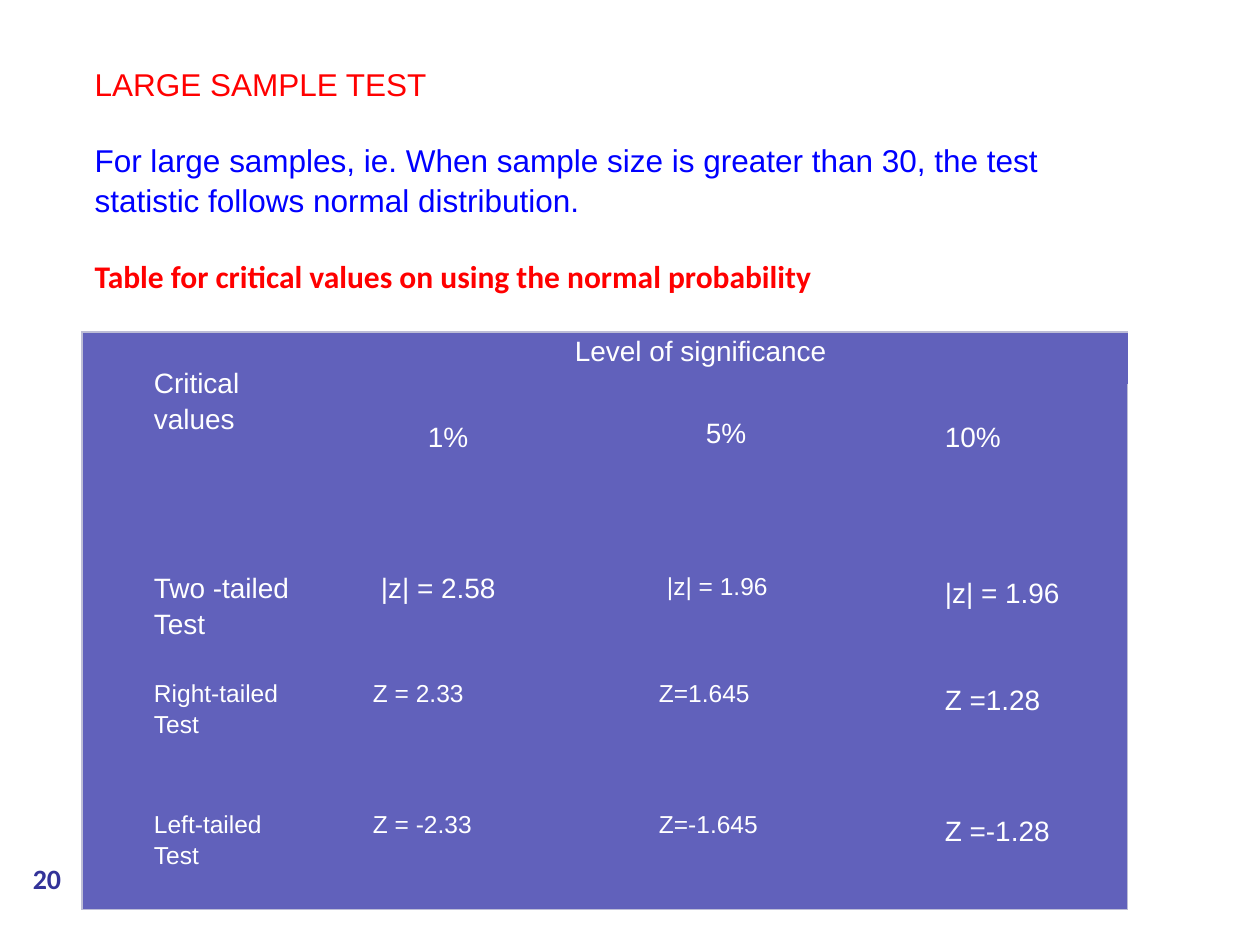
from lxml import etree
from pptx import Presentation
from pptx.dml.color import RGBColor
from pptx.enum.shapes import MSO_SHAPE
from pptx.enum.text import MSO_ANCHOR, MSO_AUTO_SIZE, PP_ALIGN
from pptx.oxml.ns import qn
from pptx.util import Pt

OVAL = MSO_SHAPE.OVAL
TOP, MIDDLE = MSO_ANCHOR.TOP, MSO_ANCHOR.MIDDLE
LEFT, CENTER = PP_ALIGN.LEFT, PP_ALIGN.CENTER
NO_AUTOFIT = MSO_AUTO_SIZE.NONE
PLAIN_TABLE = "{2D5ABB26-0587-4C30-8999-92F81FD0307C}"
RED, BLUE, WHITE, NAVY = "FF0000", "0000FF", "FFFFFF", "333399"
TABLE_FILL, TABLE_EDGE = "6161BB", "BDBDD6"

HEADING = "LARGE SAMPLE TEST"
EXPLANATION = ("For large samples, ie. When sample size is greater than 30, "
               "the test statistic follows normal distribution.")
CAPTION = "Table for critical values on using the normal probability"
PAGE_NUMBER = "20"

# Each cell: text, size in points, left inset and top inset in px
CELLS = [
    [("Critical values", 16, 72, 32), ("Level of significance", 16, 274, 0), None, None],
    [None, ("1%", 16, 127, 34), ("5%", 16, 119, 30), ("10%", 16, 72, 34)],
    [("Two -tailed Test", 16, 72, 34), ("|z| = 2.58", 16, 80, 34),
     ("|z| = 1.96", 14, 80, 34), ("|z| = 1.96", 16, 72, 39)],
    [("Right-tailed Test", 14, 72, 29), ("Z = 2.33", 14, 72, 29),
     ("Z=1.645", 14, 72, 29), ("Z =1.28", 16, 72, 34)],
    [("Left-tailed Test", 14, 72, 29), ("Z = -2.33", 14, 72, 29),
     ("Z=-1.645", 14, 72, 29), ("Z =-1.28", 16, 72, 34)],
]
COLUMN_WIDTHS = [219, 286, 286, 255]
ROW_HEIGHTS = [52, 151, 112, 131, 132]


def px(length):
    return round(length * 914400 / 126)


def color(value):
    return RGBColor.from_string(value)


def style(paragraph, size, tint, face="Arial", bold=False):
    font = paragraph.font
    font.size, font.name, font.bold = Pt(size), face, bold
    font.color.rgb = color(tint)


def place(shape, left, top, width, height):
    shape.left, shape.top = px(left), px(top)
    shape.width, shape.height = px(width), px(height)


def fill_placeholder(placeholder, box, paragraphs):
    """Write (text, colour, face, bold, line spacing) paragraphs, a line apart."""
    place(placeholder, *box)
    frame = placeholder.text_frame
    frame.text = "\n".join(text for text, *_ in paragraphs)
    frame.auto_size, frame.vertical_anchor = NO_AUTOFIT, TOP
    for index, paragraph in enumerate(frame.paragraphs):
        _, tint, face, bold, spacing = paragraphs[index]
        style(paragraph, 18, tint, face, bold)
        paragraph.alignment = LEFT
        paragraph.line_spacing = spacing
        paragraph.space_before = Pt(22 if index else 0)
        properties = paragraph._p.get_or_add_pPr()
        properties.set("marL", "0")
        properties.set("indent", "0")
        etree.SubElement(properties, qn("a:buNone"))


def add_edge(cell, side):
    line = etree.SubElement(cell._tc.get_or_add_tcPr(), qn(f"a:ln{side}"), w=str(Pt(0.75)))
    solid = etree.SubElement(line, qn("a:solidFill"))
    etree.SubElement(solid, qn("a:srgbClr"), val=TABLE_EDGE)


def add_critical_values(slide):
    row_count, column_count = len(ROW_HEIGHTS), len(COLUMN_WIDTHS)
    frame = slide.shapes.add_table(row_count, column_count, px(82), px(332),
                                   px(sum(COLUMN_WIDTHS)), px(sum(ROW_HEIGHTS)))
    table = frame.table
    table.first_row = table.horz_banding = False
    table._tbl.tblPr.find(qn("a:tableStyleId")).text = PLAIN_TABLE
    for column, width in zip(table.columns, COLUMN_WIDTHS):
        column.width = px(width)
    for row, height in zip(table.rows, ROW_HEIGHTS):
        row.height = px(height)
    table.cell(0, 0).merge(table.cell(1, 0))
    table.cell(0, 1).merge(table.cell(0, column_count - 1))

    for r, row in enumerate(CELLS):
        for c, content in enumerate(row):
            cell = table.cell(r, c)
            outer = {"L": c == 0, "R": c == column_count - 1,
                     "T": r == 0, "B": r == row_count - 1}
            for side, on_edge in outer.items():
                if on_edge:
                    add_edge(cell, side)
            cell.fill.solid()
            cell.fill.fore_color.rgb = color(TABLE_FILL)
            if content:
                text, size, left, top = content
                cell.text = text
                cell.margin_left, cell.margin_right = px(left), px(4)
                cell.margin_top, cell.margin_bottom = px(top), 0
                paragraph = cell.text_frame.paragraphs[0]
                paragraph.line_spacing = 1.15
                style(paragraph, size, WHITE)


def add_page_number(slide):
    badge = slide.shapes.add_shape(OVAL, px(0), px(857), px(94), px(42))
    badge.shadow.inherit = False
    badge.fill.solid()
    badge.fill.fore_color.rgb = color(WHITE)
    badge.line.color.rgb = color(WHITE)
    badge.line.width = Pt(2)
    frame = badge.text_frame
    frame.margin_left = frame.margin_right = frame.margin_top = frame.margin_bottom = 0
    frame.vertical_anchor = MIDDLE
    frame.text = PAGE_NUMBER
    frame.paragraphs[0].alignment = CENTER
    style(frame.paragraphs[0], 16, NAVY, "Calibri", True)


def main():
    deck = Presentation()
    deck.slide_width, deck.slide_height = px(1260), px(945)
    slide = deck.slides.add_slide(deck.slide_layouts[1])
    add_page_number(slide)
    fill_placeholder(slide.shapes.title, (82, 57, 1008, 50),
                     [(HEADING, RED, "Arial", False, 1.05)])
    fill_placeholder(slide.placeholders[1], (82, 133, 1008, 203),
                     [(EXPLANATION, BLUE, "Arial", False, 1.05),
                      (CAPTION, RED, "Calibri", True, 1.0)])
    add_critical_values(slide)
    deck.save("out.pptx")


if __name__ == "__main__":
    main()
